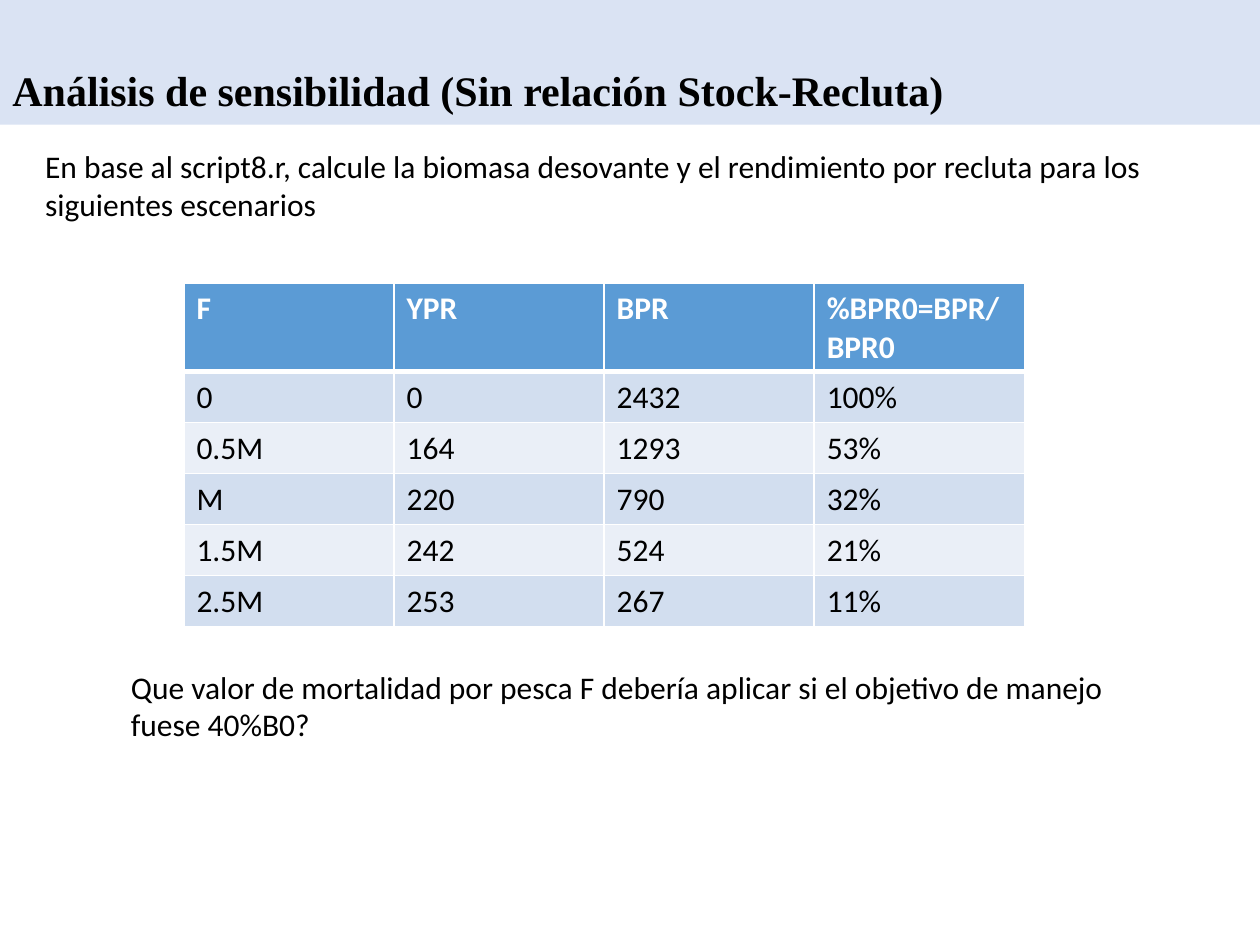
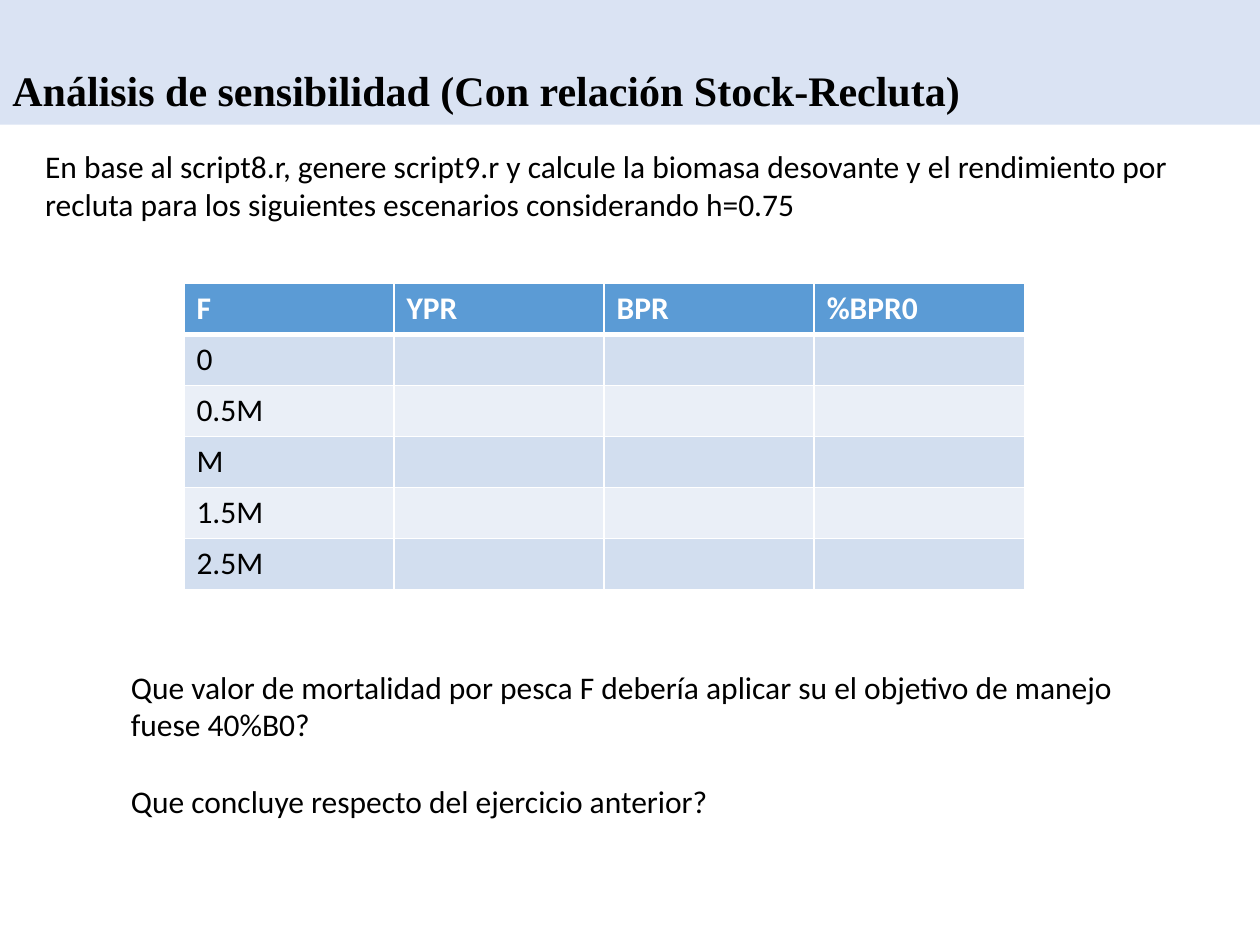
from dataclasses import dataclass

from lxml import etree
from pptx import Presentation
from pptx.dml.color import RGBColor
from pptx.enum.shapes import MSO_SHAPE
from pptx.enum.text import MSO_ANCHOR, PP_ALIGN
from pptx.oxml.ns import qn
from pptx.util import Inches, Pt

RECTANGLE = MSO_SHAPE.RECTANGLE
LEFT = PP_ALIGN.LEFT
TOP, BOTTOM = MSO_ANCHOR.TOP, MSO_ANCHOR.BOTTOM
WIDTH, HEIGHT = Inches(10), Inches(7.5)
BLANK_LAYOUT = 6


@dataclass(frozen=True)
class Theme:
    band: str = "DAE3F3"
    header: str = "5B9BD5"
    stripes: tuple = ("D2DEEF", "EAEFF7")
    dark: str = "000000"
    light: str = "FFFFFF"
    title_font: str = "Times New Roman"
    body_font: str = "Calibri"
    title_size: int = 24
    body_size: int = 18
    grid_line: int = 1
    header_line: int = 3
    paragraph_gap: int = 22


THEME = Theme()
TITLE_FORMAT = {"name": THEME.title_font, "size": Pt(THEME.title_size), "bold": True}
BODY_FORMAT = {"name": THEME.body_font, "size": Pt(THEME.body_size), "bold": False}
HEADER_FORMAT = {**BODY_FORMAT, "bold": True}

# Areas as shares of the slide: left, top, width, height
BAND_AREA = (0, 0, 1, 0.132)
INTRO_AREA = (0.026, 0.149, 0.937, 0.095)
TABLE_AREA = (0.146, 0.3, 0.667, 0.324)
QUESTION_AREA = (0.094, 0.7, 0.811, 0.095)
TWO_QUESTIONS_AREA = (0.094, 0.7, 0.811, 0.175)

SENSITIVITY_ROWS = [
    ("F", "YPR", "BPR", "%BPR0=BPR/BPR0"),
    ("0", "0", "2432", "100%"),
    ("0.5M", "164", "1293", "53%"),
    ("M", "220", "790", "32%"),
    ("1.5M", "242", "524", "21%"),
    ("2.5M", "253", "267", "11%"),
]
EXERCISE_ROWS = [("F", "YPR", "BPR", "%BPR0")] + [
    (row[0], "", "", "") for row in SENSITIVITY_ROWS[1:]
]


def place(area):
    left, top, width, height = area
    return (int(left * WIDTH), int(top * HEIGHT),
            int(width * WIDTH), int(height * HEIGHT))


def write(paragraph, text, font_format, color=THEME.dark):
    paragraph.alignment = LEFT
    run = paragraph.add_run()
    run.text = text
    for attribute, value in font_format.items():
        setattr(run.font, attribute, value)
    run.font.color.rgb = RGBColor.from_string(color)


def add_title_band(slide, title):
    band = slide.shapes.add_shape(RECTANGLE, *place(BAND_AREA))
    band.shadow.inherit = False
    band.fill.solid()
    band.fill.fore_color.rgb = RGBColor.from_string(THEME.band)
    band.line.fill.background()
    frame = band.text_frame
    frame.vertical_anchor = BOTTOM
    frame.margin_bottom = Inches(0.07)
    paragraph = frame.paragraphs[0]
    paragraph.line_spacing = 0.9
    write(paragraph, title, TITLE_FORMAT)


def add_body_text(slide, area, paragraphs):
    frame = slide.shapes.add_textbox(*place(area)).text_frame
    frame.word_wrap = True
    frame.vertical_anchor = TOP
    for index, text in enumerate(paragraphs):
        paragraph = frame.add_paragraph() if index else frame.paragraphs[0]
        if index:
            paragraph.space_before = Pt(THEME.paragraph_gap)
        write(paragraph, text, BODY_FORMAT)


def set_borders(cell, widths):
    properties = cell._tc.get_or_add_tcPr()
    for side, points in widths.items():
        line = etree.SubElement(properties, qn(f"a:ln{side}"), w=str(Pt(points)))
        fill = etree.SubElement(line, qn("a:solidFill"))
        etree.SubElement(fill, qn("a:srgbClr"), val=THEME.light)


def add_scenario_table(slide, rows):
    table = slide.shapes.add_table(len(rows), len(rows[0]), *place(TABLE_AREA)).table
    for row_index, row in enumerate(rows):
        is_header = row_index == 0
        fill = THEME.header if is_header else THEME.stripes[(row_index - 1) % 2]
        borders = dict.fromkeys("LRTB", THEME.grid_line)
        if row_index < 2:  # The rule between header and body is thicker
            borders["B" if is_header else "T"] = THEME.header_line
        for column_index, text in enumerate(row):
            cell = table.cell(row_index, column_index)
            set_borders(cell, borders)
            cell.fill.solid()
            cell.fill.fore_color.rgb = RGBColor.from_string(fill)
            paragraph = cell.text_frame.paragraphs[0]
            paragraph.font.size = Pt(THEME.body_size)
            if text:
                write(paragraph, text,
                      HEADER_FORMAT if is_header else BODY_FORMAT,
                      THEME.light if is_header else THEME.dark)


def add_exercise_slide(presentation, title, intro, rows, question_area, questions):
    slide = presentation.slides.add_slide(presentation.slide_layouts[BLANK_LAYOUT])
    add_title_band(slide, title)
    add_body_text(slide, INTRO_AREA, [intro])
    add_scenario_table(slide, rows)
    add_body_text(slide, question_area, questions)


def main():
    presentation = Presentation()
    presentation.slide_width, presentation.slide_height = WIDTH, HEIGHT

    # Without stock-recruitment relationship
    add_exercise_slide(
        presentation,
        "Análisis de sensibilidad (Sin relación Stock-Recluta)",
        "En base al script8.r, calcule la biomasa desovante y el rendimiento "
        "por recluta para los siguientes escenarios",
        SENSITIVITY_ROWS,
        QUESTION_AREA,
        ["Que valor de mortalidad por pesca F debería aplicar si el objetivo "
         "de manejo fuese 40%B0?"],
    )

    # With stock-recruitment relationship
    add_exercise_slide(
        presentation,
        "Análisis de sensibilidad (Con relación Stock-Recluta)",
        "En base al script8.r, genere script9.r y calcule la biomasa desovante "
        "y el rendimiento por recluta para los siguientes escenarios "
        "considerando h=0.75",
        EXERCISE_ROWS,
        TWO_QUESTIONS_AREA,
        ["Que valor de mortalidad por pesca F debería aplicar su el objetivo "
         "de manejo fuese 40%B0?",
         "Que concluye respecto del ejercicio anterior?"],
    )
    presentation.save("out.pptx")


if __name__ == "__main__":
    main()
